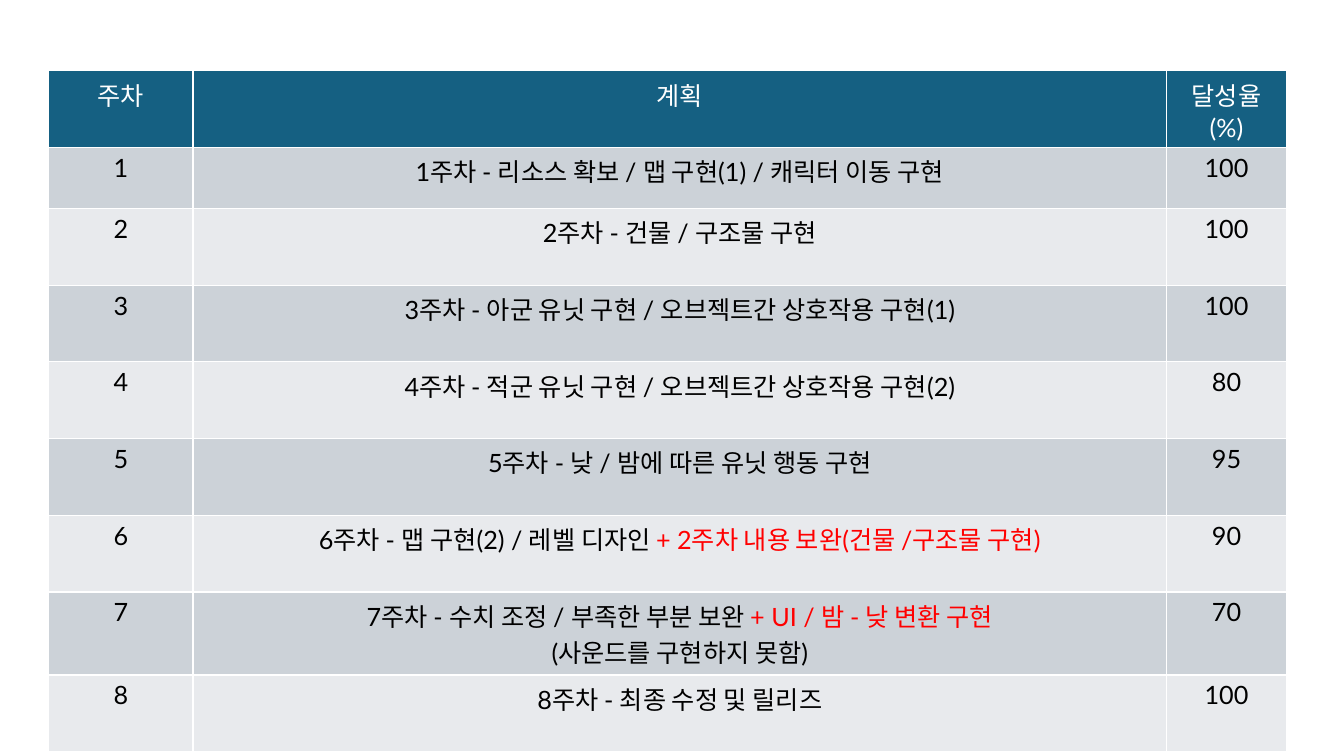
"""Builds a one-slide weekly project plan with achievement rates."""
from lxml import etree
from pptx import Presentation
from pptx.dml.color import RGBColor
from pptx.enum.text import PP_ALIGN
from pptx.oxml.ns import qn
from pptx.util import Pt

CENTER = PP_ALIGN.CENTER
WHITE = RGBColor(0xFF, 0xFF, 0xFF)
BLACK = RGBColor(0x00, 0x00, 0x00)
RED = RGBColor(0xFF, 0x00, 0x00)
TEAL = RGBColor(0x15, 0x60, 0x82)
BAND_DARK = RGBColor(0xCC, 0xD2, 0xD8)
BAND_LIGHT = RGBColor(0xE8, 0xEA, 0xED)

FONT = "Lato"
BLANK_LAYOUT = 6
BORDER_TAGS = ("a:lnL", "a:lnR", "a:lnT", "a:lnB")
COLUMN_WIDTHS = (103, 695.5, 85.5)
HEADER_HEIGHT = 54.8
HEADERS = ("주차", "계획", "달성율(%)")

# Each week: row height, achievement rate, paragraphs of (text, colour) spans.
WEEKS = (
    (43.4, 100, [[("1주차 - 리소스 확보 / 맵 구현(1) / 캐릭터 이동 구현", BLACK)]]),
    (54.8, 100, [[("2주차 - 건물 / 구조물 구현", BLACK)]]),
    (54.8, 100, [[("3주차 - 아군 유닛 구현 / 오브젝트간 상호작용 구현(1)", BLACK)]]),
    (54.8, 80, [[("4주차 - 적군 유닛 구현 / 오브젝트간 상호작용 구현(2)", BLACK)]]),
    (54.8, 95, [[("5주차 - 낮 / 밤에 따른 유닛 행동 구현", BLACK)]]),
    (54.8, 90, [[("6주차 - 맵 구현(2) / 레벨 디자인 ", BLACK),
                 ("+ 2주차 내용 보완(건물 /구조물 구현)", RED)]]),
    (59.3, 70, [[("7주차 - 수치 조정 / 부족한 부분 보완 ", BLACK),
                 ("+ UI / 밤 - 낮 변환 구현", RED)],
                [("(사운드를 구현하지 못함)", BLACK)]]),
    (54.8, 100, [[("8주차 - 최종 수정 및 릴리즈", BLACK)]]),
)


def add_span(para, text, *, color=BLACK, size=18):
    """Add one formatted span of text to a paragraph."""
    span = para.add_run()
    span.text = text
    span.font.name = FONT
    span.font.size = Pt(size)
    span.font.bold = False
    span.font.color.rgb = color


def set_borders(cell, color, width):
    """Draw a solid line on all four sides of a cell."""
    properties = cell._tc.get_or_add_tcPr()
    for position, tag in enumerate(BORDER_TAGS):
        line = etree.Element(qn(tag), w=str(Pt(width)))
        fill = etree.SubElement(line, qn("a:solidFill"))
        etree.SubElement(fill, qn("a:srgbClr"), val=str(color))
        properties.insert(position, line)


def fill_cell(cell, paragraphs, background):
    """Write centred paragraphs into a cell and paint it."""
    frame = cell.text_frame
    for position, spans in enumerate(paragraphs):
        para = frame.add_paragraph() if position else frame.paragraphs[0]
        para.alignment = CENTER
        for text, color in spans:
            add_span(para, text, color=color)
    cell.fill.solid()
    cell.fill.fore_color.rgb = background
    set_borders(cell, WHITE, 1)


def add_plan_table(page):
    """Add the weekly plan table."""
    heights = [HEADER_HEIGHT] + [height for height, _, _ in WEEKS]
    table = page.shapes.add_table(
        len(heights), len(COLUMN_WIDTHS), Pt(34.9), Pt(50.6),
        Pt(sum(COLUMN_WIDTHS)), Pt(sum(heights))).table
    for column, width in zip(table.columns, COLUMN_WIDTHS):
        column.width = Pt(width)
    for row, height in zip(table.rows, heights):
        row.height = Pt(height)
    for column, header in enumerate(HEADERS):
        fill_cell(table.cell(0, column), [[(header, WHITE)]], TEAL)
    for week, (_, rate, plan) in enumerate(WEEKS, start=1):
        background = BAND_DARK if week % 2 else BAND_LIGHT
        contents = ([[(str(week), BLACK)]], plan, [[(str(rate), BLACK)]])
        for column, paragraphs in enumerate(contents):
            fill_cell(table.cell(week, column), paragraphs, background)


def main():
    """Build and save the deck."""
    deck = Presentation()
    deck.slide_width, deck.slide_height = Pt(960), Pt(540)
    page = deck.slides.add_slide(deck.slide_layouts[BLANK_LAYOUT])
    add_plan_table(page)
    deck.save("out.pptx")


if __name__ == "__main__":
    main()
